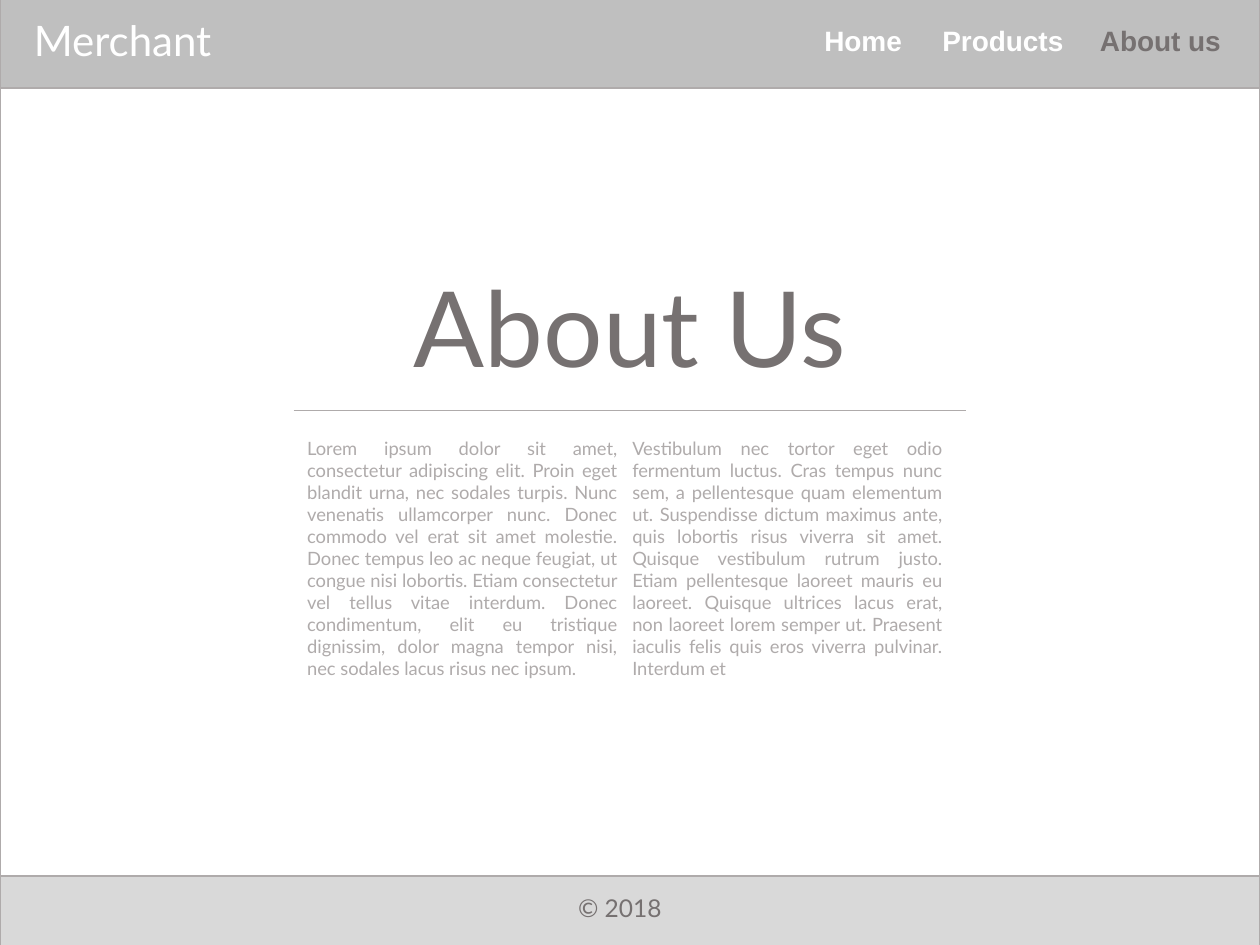
from lxml import etree
from pptx import Presentation
from pptx.dml.color import RGBColor
from pptx.enum import shapes, text
from pptx.oxml.ns import qn
from pptx.util import Inches, Pt

COLORS = {"line": "AFABAB", "header": "BFBFBF", "footer": "D9D9D9",
          "dark": "767171", "light": "FFFFFF", "body": "AFABAB"}
ALIGN = text.PP_ALIGN

# Content
TITLE = "About Us"
BRAND = "Merchant"
COPYRIGHT = "© 2018"
MENU = [("Home", 5.9, "light"), ("Products", 7.01, "light"), ("About us", 8.26, "dark")]
COLUMNS = [
    "Lorem ipsum dolor sit amet, consectetur adipiscing elit. Proin eget blandit urna, "
    "nec sodales turpis. Nunc venenatis ullamcorper nunc. Donec commodo vel erat sit amet "
    "molestie. Donec tempus leo ac neque feugiat, ut congue nisi lobortis. Etiam consectetur "
    "vel tellus vitae interdum. Donec condimentum, elit eu tristique dignissim, dolor magna "
    "tempor nisi, nec sodales lacus risus nec ipsum.",
    "Vestibulum nec tortor eget odio fermentum luctus. Cras tempus nunc sem, a pellentesque "
    "quam elementum ut. Suspendisse dictum maximus ante, quis lobortis risus viverra sit amet. "
    "Quisque vestibulum rutrum justo. Etiam pellentesque laoreet mauris eu laoreet. Quisque "
    "ultrices lacus erat, non laoreet lorem semper ut. Praesent iaculis felis quis eros viverra "
    "pulvinar. Interdum et",
]
# Page frame and bars: top, height, fill
PANELS = [(0, 7.5, None), (-0.06, 0.76, "header"), (6.95, 0.59, "footer")]
PAGE_WIDTH = 10
COLUMN_LEFT, COLUMN_STEP = 2.34, 2.58


def color(name):
    return RGBColor.from_string(COLORS[name])


def add_panel(page, top, height, fill):
    panel = page.shapes.add_shape(shapes.MSO_SHAPE.RECTANGLE, 0, Inches(top),
                                  Inches(PAGE_WIDTH), Inches(height))
    panel.shadow.inherit = False
    if fill:
        panel.fill.solid()
        panel.fill.fore_color.rgb = color(fill)
    else:
        panel.fill.background()
    panel.line.color.rgb = color("line")
    panel.line.width = Pt(1)


def add_text(page, words, at, size, ink, font="Lato", bold=False, align=ALIGN.CENTER, box=None):
    """Write words in a new text box, or in the given placeholder."""
    place = [Inches(value) for value in at]
    if box is None:
        box = page.shapes.add_textbox(*place)
    box.left, box.top, box.width, box.height = place
    frame = box.text_frame
    frame.word_wrap = True
    frame.auto_size = text.MSO_AUTO_SIZE.SHAPE_TO_FIT_TEXT
    frame.vertical_anchor = text.MSO_ANCHOR.TOP
    para = frame.paragraphs[0]
    para.alignment = align
    span = para.add_run()
    span.text = words
    span.font.name = font
    span.font.size = Pt(size)
    span.font.bold = bold
    span.font.color.rgb = color(ink)


def main():
    deck = Presentation()
    deck.slide_width, deck.slide_height = Inches(PAGE_WIDTH), Inches(7.5)
    page = deck.slides.add_slide(deck.slide_layouts[5])

    for panel in PANELS:
        add_panel(page, *panel)

    # Header and footer text
    add_text(page, COPYRIGHT, (3.97, 7.04, 1.9, 0.34), 14, "dark")
    add_text(page, BRAND, (0.17, 0.07, 1.9, 0.5), 24, "light", align=ALIGN.LEFT)
    for label, left, ink in MENU:
        add_text(page, label, (left, 0.14, 1.9, 0.37), 16, ink, font="Arial", bold=True)

    # Title and the rule under it
    add_text(page, TITLE, (2.81, 2.03, 4.38, 1.11), 60, "dark", box=page.shapes.title)
    rule = page.shapes.add_connector(shapes.MSO_CONNECTOR.STRAIGHT, Inches(2.33), Inches(3.26),
                                     Inches(7.67), Inches(3.26))
    rule.line.color.rgb = color("line")
    rule.line.width = Pt(0.5)
    etree.SubElement(rule._element.spPr, qn("a:effectLst"))

    # Two columns of body text
    for index, words in enumerate(COLUMNS):
        left = COLUMN_LEFT + index * COLUMN_STEP
        add_text(page, words, (left, 3.42, 2.66, 2.04), 10.5, "body", align=ALIGN.JUSTIFY)

    deck.save("out.pptx")


if __name__ == "__main__":
    main()
